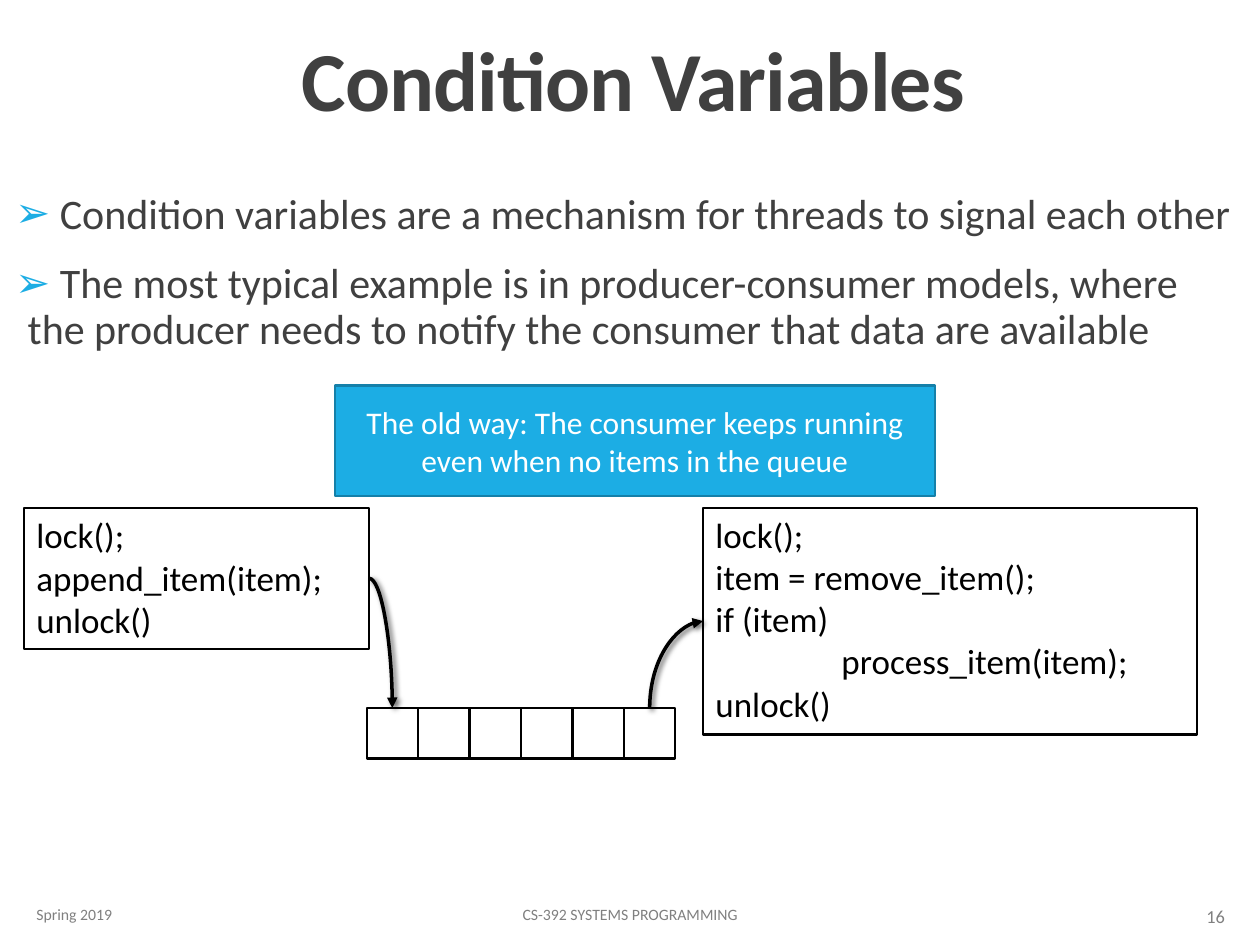
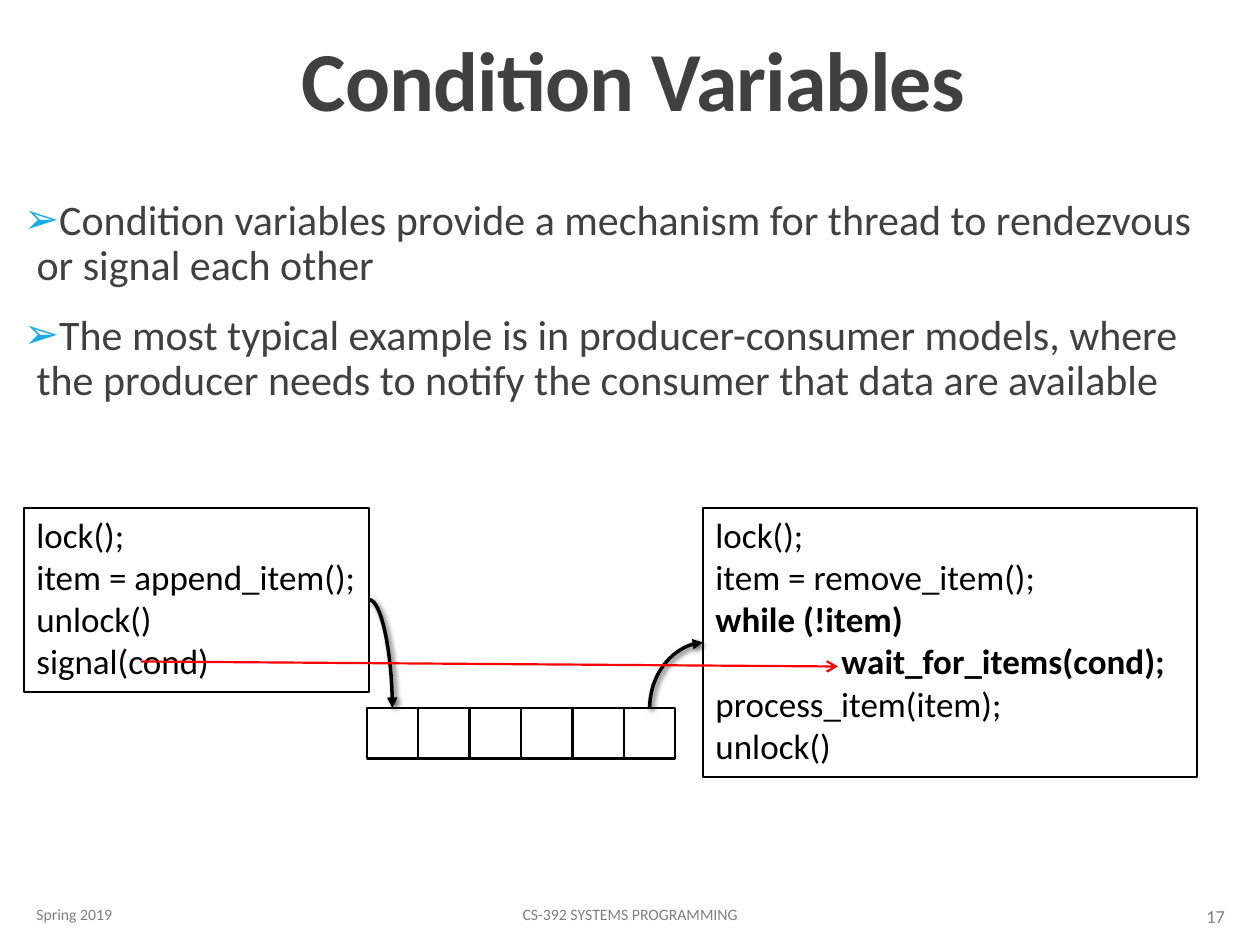
from lxml import etree
from pptx import Presentation
from pptx.dml.color import RGBColor
from pptx.enum import shapes, text
from pptx.oxml import ns
from pptx.util import Emu, Inches, Pt

FONT = "Calibri"
COLORS = {
    "ink": "404040", "footer": "808080", "black": "000000", "white": "FFFFFF",
    "accent": "1CADE4", "accent_edge": "1580A9", "signal": "FF0000",
}
BULLET = "➢"
BOX_TOP, LINE_HEIGHT, INSET, CODE_TAB = 4.03, 0.34, 0.05, 1
PRODUCER_LEFT, PRODUCER_WIDTH = 0.19, 2.74
CONSUMER_LEFT, CONSUMER_WIDTH = 5.58, 3.92
QUEUE_BOX = (2.91, 5.62, 2.45, 0.4)
QUEUE_CELLS = 6
TYPICAL = ("The most typical example is in producer-consumer models, where "
           "the producer needs to notify the consumer that data are available")


def color(name):
    """Return the named colour."""
    return RGBColor.from_string(COLORS[name])


def add_child(parent, tag, **attributes):
    """Append a DrawingML element to a parent and return it."""
    return etree.SubElement(parent, ns.qn(f"a:{tag}"), attributes)


def place(shape, left, top, width, height):
    """Move and size a shape in inches."""
    shape.left, shape.top = Inches(left), Inches(top)
    shape.width, shape.height = Inches(width), Inches(height)


def format_runs(paragraph, size, name, bold=False):
    """Set the font of every run in a paragraph."""
    for run in paragraph.runs:
        run.font.name = FONT
        run.font.size = Pt(size)
        run.font.bold = bold
        run.font.color.rgb = color(name)


def add_title(slide, words):
    """Fill the title placeholder."""
    title = slide.shapes.title
    place(title, 0.9, 0.04, 8.25, 1.03)
    frame = title.text_frame
    frame.text = words
    frame.vertical_anchor = text.MSO_ANCHOR.BOTTOM
    frame.auto_size = text.MSO_AUTO_SIZE.NONE
    paragraph = frame.paragraphs[0]
    paragraph.alignment = text.PP_ALIGN.CENTER
    paragraph.line_spacing = 0.85
    format_runs(paragraph, 48, "ink", bold=True)
    paragraph.runs[0].font._element.set("spc", "-50")


def add_bullets(slide, box, items):
    """Fill the body placeholder with arrow bullets."""
    body = slide.placeholders[1]
    place(body, *box)
    frame = body.text_frame
    frame.text = "\n".join(items)
    frame.auto_size = text.MSO_AUTO_SIZE.NONE
    frame.margin_left = frame.margin_right = 0
    for index, paragraph in enumerate(frame.paragraphs):
        paragraph.line_spacing = 0.9
        paragraph.space_before = Pt(12 if index else 0)
        paragraph.space_after = Pt(2)
        properties = paragraph._p.get_or_add_pPr()
        properties.set("marL", str(Inches(0.1)))
        properties.set("indent", str(Inches(-0.1)))
        add_child(add_child(properties, "buClr"), "srgbClr", val=COLORS["accent"])
        add_child(properties, "buChar", char=BULLET)
        format_runs(paragraph, 24, "ink")


def add_footer(slide, number):
    """Add the date, course name and slide number."""
    align = text.PP_ALIGN
    for words, box, alignment, size in (
        ("Spring 2019", (0.19, 7.06, 2.03, 0.4), align.LEFT, 9),
        ("CS-392 SYSTEMS PROGRAMMING", (3.02, 7.06, 3.96, 0.4), align.CENTER, 9),
        (str(number), (8.74, 7.07, 1.08, 0.4), align.RIGHT, 10.5),
    ):
        frame = slide.shapes.add_textbox(*map(Inches, box)).text_frame
        frame.word_wrap = True
        frame.vertical_anchor = text.MSO_ANCHOR.MIDDLE
        frame.text = words
        frame.paragraphs[0].alignment = alignment
        format_runs(frame.paragraphs[0], size, "footer")


def add_box(container, box, fill="white", edge="black"):
    """Add an outlined rectangle."""
    shape = container.add_shape(shapes.MSO_SHAPE.RECTANGLE, *map(Inches, box))
    shape.shadow.inherit = False
    shape.fill.solid()
    shape.fill.fore_color.rgb = color(fill)
    shape.line.color.rgb = color(edge)
    shape.line.width = Pt(1.25)
    return shape


def add_code(slide, left, width, lines, bold_lines=()):
    """Add a code box as tall as its lines."""
    height = 2 * INSET + LINE_HEIGHT * len(lines)
    shape = add_box(slide.shapes, (left, BOX_TOP, width, height))
    frame = shape.text_frame
    frame.word_wrap = True
    frame.auto_size = text.MSO_AUTO_SIZE.SHAPE_TO_FIT_TEXT
    frame.vertical_anchor = text.MSO_ANCHOR.TOP
    frame.text = "\n".join(lines)
    for index, paragraph in enumerate(frame.paragraphs):
        paragraph.alignment = text.PP_ALIGN.LEFT
        tabs = add_child(paragraph._p.get_or_add_pPr(), "tabLst")
        add_child(tabs, "tab", pos=str(Inches(CODE_TAB)), algn="l")
        format_runs(paragraph, 20, "black", bold=index in bold_lines)
    return shape


def add_queue(slide, box):
    """Add a grouped row of equal cells and return the cells."""
    left, top, width, height = box
    cell_width = width / QUEUE_CELLS
    group = slide.shapes.add_group_shape()
    return [add_box(group.shapes, (left + index * cell_width, top, cell_width, height))
            for index in range(QUEUE_CELLS)]


def style_arrow(connector, name, width, head):
    """Set line and arrowhead, and return the empty effect list."""
    connector.line.color.rgb = color(name)
    connector.line.width = Pt(width)
    add_child(connector.line._get_or_add_ln(), "tailEnd", type=head)
    return add_child(connector._element.spPr, "effectLst")


def add_curve(slide, source, source_side, target, target_side, upward=False):
    """Join two shapes by a quarter curve with a soft shadow."""
    curve = slide.shapes.add_connector(shapes.MSO_CONNECTOR.CURVE, 0, 0, 0, 0)
    curve.begin_connect(source, source_side)
    curve.end_connect(target, target_side)
    properties = curve._element.spPr
    properties.find(ns.qn("a:prstGeom")).set("prst", "curvedConnector2")
    if upward:
        left, top, width, height = curve.left, curve.top, curve.width, curve.height
        curve.left = Emu(left + (width - height) // 2)
        curve.top = Emu(top + (height - width) // 2)
        curve.width, curve.height = height, width
        transform = properties.find(ns.qn("a:xfrm"))
        for key, value in (("rot", "5400000"), ("flipH", "1"), ("flipV", "1")):
            transform.set(key, value)
    effects = style_arrow(curve, "black", 2, "triangle")
    shadow = add_child(effects, "outerShdw", blurRad=str(Pt(3)), dist=str(Pt(2)),
                       dir="2700000", rotWithShape="0")
    shade = add_child(shadow, "srgbClr", val=COLORS["black"])
    add_child(shade, "alpha", val="60000")


def add_signal(slide, start, end):
    """Add the red arrow from the signal call to the wait call."""
    arrow = slide.shapes.add_connector(
        shapes.MSO_CONNECTOR.STRAIGHT, *map(Inches, start + end))
    style_arrow(arrow, "signal", 1.25, "arrow")


def add_callout(slide, box, words):
    """Add the filled remark above the diagram."""
    frame = add_box(slide.shapes, box, "accent", "accent_edge").text_frame
    frame.word_wrap = True
    frame.vertical_anchor = text.MSO_ANCHOR.MIDDLE
    frame.text = words
    frame.paragraphs[0].alignment = text.PP_ALIGN.CENTER
    format_runs(frame.paragraphs[0], 18, "white")


def add_diagram(slide, producer_lines, consumer_lines, bold_lines=()):
    """Add producer, queue and consumer with the flow between them."""
    producer = add_code(slide, PRODUCER_LEFT, PRODUCER_WIDTH, producer_lines)
    consumer = add_code(slide, CONSUMER_LEFT, CONSUMER_WIDTH, consumer_lines, bold_lines)
    cells = add_queue(slide, QUEUE_BOX)
    add_curve(slide, producer, 3, cells[0], 0)
    add_curve(slide, cells[-1], 0, consumer, 1, upward=True)


def add_topic_slide(presentation, number, body_box, items):
    """Add a slide with title, bullets and footer."""
    slide = presentation.slides.add_slide(presentation.slide_layouts[1])
    add_title(slide, "Condition Variables")
    add_bullets(slide, body_box, items)
    add_footer(slide, number)
    return slide


def main():
    """Build and save both slides."""
    presentation = Presentation()
    presentation.slide_width, presentation.slide_height = Inches(10), Inches(7.5)

    polling = add_topic_slide(presentation, 16, (0.12, 1.48, 9.66, 5.28), [
        " Condition variables are a mechanism for threads to signal each other",
        " " + TYPICAL,
    ])
    add_diagram(
        polling,
        ["lock();", "append_item(item);", "unlock()"],
        ["lock();", "item = remove_item();", "if (item)",
         "\tprocess_item(item);", "unlock()"])
    add_callout(polling, (2.66, 3.06, 4.76, 0.88),
                "The old way: The consumer keeps running even when no items in the queue")

    waiting = add_topic_slide(presentation, 17, (0.19, 1.53, 9.62, 5.28), [
        "Condition variables provide a mechanism for thread to rendezvous "
        "or signal each other",
        TYPICAL,
    ])
    add_diagram(
        waiting,
        ["lock();", "item = append_item();", "unlock()", "signal(cond)"],
        ["lock();", "item = remove_item();", "while (!item)",
         "\twait_for_items(cond);", "process_item(item);", "unlock()"],
        bold_lines=(2, 3))
    add_signal(waiting, (1.12, 5.25), (6.65, 5.29))

    presentation.save("out.pptx")


if __name__ == "__main__":
    main()
